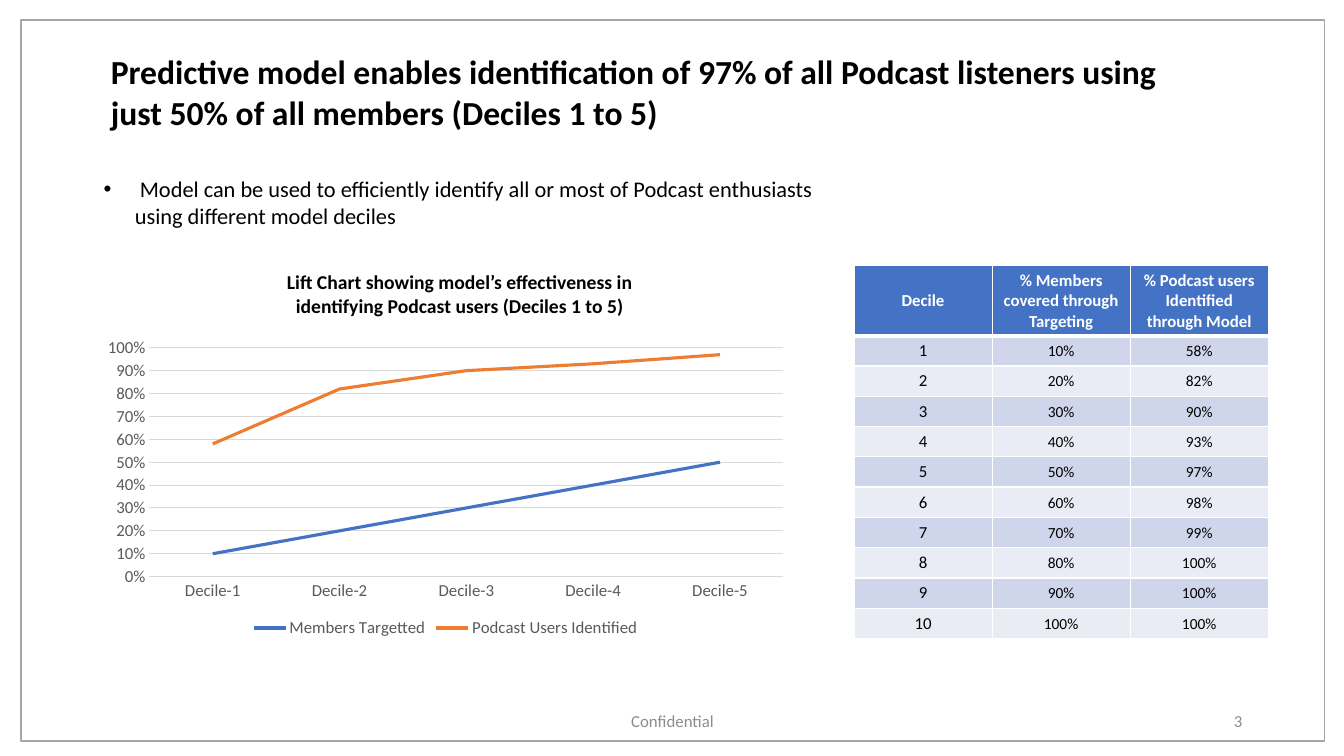
"""Build the slide on the lift of a podcast listener model."""
from lxml.etree import SubElement
from pptx import Presentation
from pptx.chart.data import CategoryChartData
from pptx.dml.color import RGBColor
from pptx.enum.chart import XL_CHART_TYPE as ChartType, XL_LEGEND_POSITION as LegendPosition
from pptx.enum.chart import XL_MARKER_STYLE as Marker, XL_TICK_MARK as Tick
from pptx.enum.shapes import MSO_SHAPE as Shape
from pptx.enum.text import MSO_ANCHOR as Anchor, PP_ALIGN as Align
from pptx.oxml.ns import qn
from pptx.util import Inches, Pt

FONT = "Calibri"
TITLE = ("Predictive model enables identification of 97% of all Podcast listeners "
         "using just 50% of all members (Deciles 1 to 5)")
BULLET = (" Model can be used to efficiently identify all or most of Podcast "
          "enthusiasts using different model deciles")
CHART_TITLE = ("Lift Chart showing model’s effectiveness in identifying "
               "Podcast users (Deciles 1 to 5)")
HEADERS = ["Decile", "% Members covered through Targeting",
           "% Podcast users Identified through Model"]
IDENTIFIED = [58, 82, 90, 93, 97, 98, 99, 100, 100, 100]
CHARTED = 5
SERIES = [
    ("Members Targetted", [decile / 10 for decile in range(1, CHARTED + 1)], "4472C4"),
    ("Podcast Users Identified", [share / 100 for share in IDENTIFIED[:CHARTED]], "ED7D31"),
]
TEXTS = [
    ("Confidential", (4.42, 6.95, 4.5, 0.4), 12, "8C8C8C", False, Align.CENTER, Anchor.MIDDLE),
    ("3", (9.42, 6.95, 3, 0.4), 12, "8C8C8C", False, Align.RIGHT, Anchor.MIDDLE),
    (TITLE, (1, 0.46, 10.88, 0.91), 24, "000000", True, Align.LEFT, Anchor.TOP),
    (CHART_TITLE, (2.45, 2.63, 4.22, 0.57), 14, "000000", True, Align.CENTER, Anchor.TOP),
]


def color(value):
    return RGBColor.from_string(value)


def style(font, size, ink, bold=False):
    font.name, font.size, font.bold = FONT, Pt(size), bold
    font.color.rgb = color(ink)


def write(frame, text, size, ink, bold=False, align=Align.LEFT, anchor=Anchor.TOP):
    frame.word_wrap = True
    frame.vertical_anchor = anchor
    para = frame.paragraphs[0]
    para.alignment = align
    span = para.add_run()
    span.text = text
    style(span.font, size, ink, bold)
    return para


def add_text(page, text, place, *look):
    box = page.shapes.add_textbox(*map(Inches, place))
    return write(box.text_frame, text, *look)


def add_bullet(page):
    para = add_text(page, BULLET, (0.93, 1.69, 7.47, 0.64), 16, "000000")
    settings = para._p.get_or_add_pPr()
    settings.set("marL", str(Inches(0.31)))
    settings.set("indent", str(Inches(-0.31)))
    SubElement(settings, qn("a:buFont"), typeface="Arial")
    SubElement(settings, qn("a:buChar"), char="•")


def add_frame(page):
    frame = page.shapes.add_shape(Shape.RECTANGLE, *map(Inches, (0.21, 0.2, 12.93, 7.15)))
    frame.shadow.inherit = False
    frame.fill.background()
    frame.line.color.rgb = color("A6A6A6")
    frame.line.width = Pt(1)


def add_lift_chart(page):
    data = CategoryChartData(number_format="0%")
    data.categories = [f"Decile-{decile}" for decile in range(1, CHARTED + 1)]
    for name, values, _ in SERIES:
        data.add_series(name, values)
    place = map(Inches, (0.93, 3.29, 6.98, 3.08))
    chart = page.shapes.add_chart(ChartType.LINE, *place, data).chart
    chart.has_title = False
    style(chart.font, 12, "595959")
    chart.has_legend = True
    chart.legend.position = LegendPosition.BOTTOM
    chart.legend.include_in_layout = False
    style(chart.legend.font, 12, "595959")
    for axis in (chart.category_axis, chart.value_axis):
        axis.major_tick_mark = axis.minor_tick_mark = Tick.NONE
        style(axis.tick_labels.font, 12, "595959")
    scale = chart.value_axis
    scale.minimum_scale, scale.maximum_scale, scale.major_unit = 0, 1, 0.1
    scale.tick_labels.number_format = "0%"
    scale.tick_labels.number_format_is_linked = False
    scale.format.line.fill.background()
    for line in (chart.category_axis.format.line, scale.major_gridlines.format.line):
        line.color.rgb = color("D9D9D9")
        line.width = Pt(0.75)
    chart.plots[0].vary_by_categories = False
    for series, (_, _, ink) in zip(chart.plots[0].series, SERIES):
        series.smooth = False
        series.marker.style = Marker.NONE
        series.format.line.color.rgb = color(ink)
        series.format.line.width = Pt(2.25)


def paint_cell(cell, fill, widths):
    settings = cell._tc.get_or_add_tcPr()
    for side, width in zip(("lnL", "lnR", "lnT", "lnB"), widths):
        border = SubElement(settings, qn(f"a:{side}"), w=str(Pt(width)))
        SubElement(SubElement(border, qn("a:solidFill")), qn("a:srgbClr"), val="FFFFFF")
    cell.fill.solid()
    cell.fill.fore_color.rgb = color(fill)


def add_decile_table(page):
    rows = [HEADERS] + [[str(decile), f"{decile * 10}%", f"{share}%"]
                        for decile, share in enumerate(IDENTIFIED, 1)]
    place = map(Inches, (8.47, 2.63, 4.11, 3.69))
    table = page.shapes.add_table(len(rows), len(HEADERS), *place).table
    for column in table.columns:
        column.width = Inches(1.37)
    for row, values in enumerate(rows):
        header = row == 0
        table.rows[row].height = Inches(0.69 if header else 0.3)
        fill = "4472C4" if header else ("E9EBF5", "CFD5EA")[row % 2]
        widths = (1, 1, 3 if row == 1 else 1, 3 if header else 1)
        for column, text in enumerate(values):
            cell = table.cell(row, column)
            percent = not header and column > 0
            if percent:
                cell.margin_left = cell.margin_right = cell.margin_top = Inches(0.01)
                cell.margin_bottom = 0
            write(cell.text_frame, text, 11 if percent else 12,
                  "FFFFFF" if header else "000000", header, Align.CENTER)
            cell.vertical_anchor = Anchor.MIDDLE if header or percent else Anchor.TOP
            paint_cell(cell, fill, widths)


def main():
    deck = Presentation()
    deck.slide_width, deck.slide_height = Inches(13.33), Inches(7.5)
    page = deck.slides.add_slide(deck.slide_layouts[6])
    add_frame(page)
    for text in TEXTS:
        add_text(page, *text)
    add_lift_chart(page)
    add_decile_table(page)
    add_bullet(page)
    deck.save("out.pptx")


if __name__ == "__main__":
    main()
